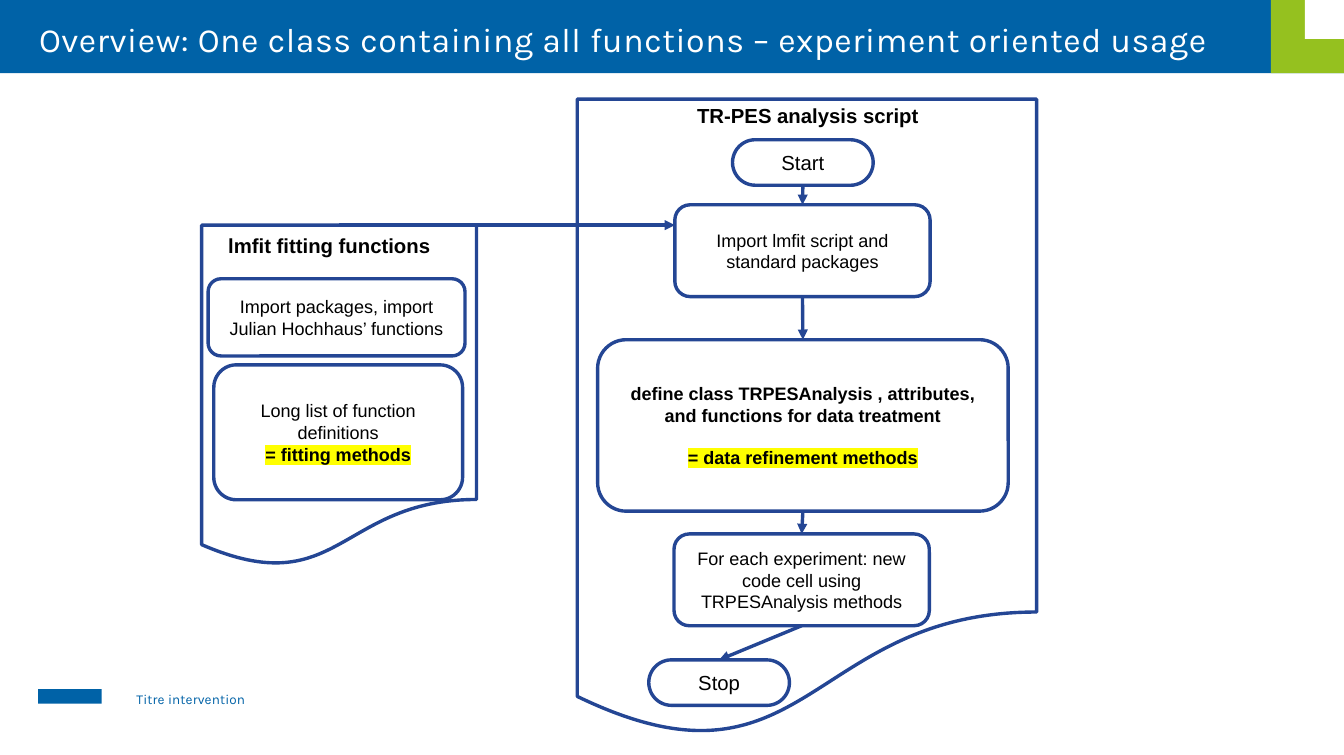
from lxml import etree
from pptx import Presentation
from pptx.dml.color import RGBColor
from pptx.enum.shapes import MSO_CONNECTOR, MSO_SHAPE
from pptx.enum.text import MSO_ANCHOR, MSO_AUTO_SIZE, PP_ALIGN
from pptx.oxml.ns import qn
from pptx.util import Inches, Pt

RECTANGLE = MSO_SHAPE.RECTANGLE
PROCESS = MSO_SHAPE.FLOWCHART_ALTERNATE_PROCESS
TERMINATOR = MSO_SHAPE.FLOWCHART_TERMINATOR
DOCUMENT = MSO_SHAPE.FLOWCHART_DOCUMENT
STRAIGHT = MSO_CONNECTOR.STRAIGHT
LEFT, CENTER = PP_ALIGN.LEFT, PP_ALIGN.CENTER
TOP, MIDDLE = MSO_ANCHOR.TOP, MSO_ANCHOR.MIDDLE

BLUE = RGBColor(0x00, 0x62, 0xA7)
GREEN = RGBColor(0x95, 0xC1, 0x1F)
NAVY = RGBColor(0x24, 0x46, 0x94)
WHITE = RGBColor(0xFF, 0xFF, 0xFF)
BLACK = RGBColor(0x00, 0x00, 0x00)

PLAIN = {"name": "Arial", "size": Pt(16), "bold": False}
BOLD = {**PLAIN, "bold": True}
MARKED = {**BOLD, "highlight": "FFFF00"}
STEP = {**PLAIN, "size": Pt(18)}
HEADING = {**STEP, "bold": True}
TITLE = {"name": "Karla", "size": Pt(30), "bold": False, "color": WHITE, "spacing": 50}
FOOTER = {**TITLE, "size": Pt(12), "color": BLUE, "spacing": 10}


def write(shape, lines, alignment=CENTER, anchor=MIDDLE):
    """Fill a shape with (text, format, points before) paragraphs."""
    frame = shape.text_frame
    frame.word_wrap = True
    frame.auto_size = MSO_AUTO_SIZE.NONE
    frame.vertical_anchor = anchor
    for index, (text, text_format, space_before) in enumerate(lines):
        paragraph = frame.add_paragraph() if index else frame.paragraphs[0]
        paragraph.alignment = alignment
        paragraph.space_before = Pt(space_before)
        run = paragraph.add_run()
        run.text = text
        for attribute in ("name", "size", "bold"):
            setattr(run.font, attribute, text_format[attribute])
        run.font.color.rgb = text_format.get("color", BLACK)
        properties = run.font._element
        if "spacing" in text_format:
            properties.set("spc", str(text_format["spacing"]))
        if "highlight" in text_format:
            highlight = etree.Element(qn("a:highlight"))
            color = etree.SubElement(highlight, qn("a:srgbClr"))
            color.set("val", text_format["highlight"])
            properties.find(qn("a:solidFill")).addnext(highlight)


def add_shape(kind, box, fill=None):
    """Add a filled shape without outline, or an outlined one without fill."""
    shape = slide.shapes.add_shape(kind, *map(Inches, box))
    shape.shadow.inherit = False
    if fill is None:
        shape.fill.background()
        shape.line.color.rgb = NAVY
        shape.line.width = Pt(3)
    else:
        shape.fill.solid()
        shape.fill.fore_color.rgb = fill
        shape.line.fill.background()
    return shape


presentation = Presentation()
presentation.slide_width = Inches(16.53)
presentation.slide_height = Inches(9.29)
slide = presentation.slides.add_slide(presentation.slide_layouts[5])

# Header band, corner and footer
for box, color in [
    ((0.47, 8.48, 0.78, 0.18), BLUE),
    ((0, 0, 16.53, 0.9), BLUE),
    ((15.63, 0, 0.9, 0.9), GREEN),
    ((16.05, 0, 0.48, 0.48), WHITE),
]:
    band = add_shape(RECTANGLE, box, color)

title = slide.shapes.title
band.element.addnext(title.element)
title.left, title.top, title.width, title.height = map(Inches, (0.38, 0.18, 15.12, 0.57))
write(title, [("Overview: One class containing all functions – experiment oriented usage",
               TITLE, 0)], LEFT, TOP)

# Documents and flowchart steps
script_document = add_shape(DOCUMENT, (7.1, 1.22, 5.65, 7.87))
fitting_document = add_shape(DOCUMENT, (2.48, 2.77, 3.38, 4.21))

steps = {}
for name, kind, box, lines in [
    ("start", TERMINATOR, (9.01, 1.72, 1.73, 0.56), [("Start", STEP, 0)]),
    ("import", PROCESS, (8.3, 2.52, 3.14, 1.13),
     [("Import lmfit script and standard packages", PLAIN, 0)]),
    ("class", PROCESS, (7.35, 4.18, 5.05, 2.11),
     [("define class TRPESAnalysis , attributes,", BOLD, 0),
      ("and functions for data treatment", BOLD, 0),
      ("= data refinement methods", MARKED, 18)]),
    ("experiment", PROCESS, (8.29, 6.57, 3.14, 1.13),
     [("For each experiment: new code cell using TRPESAnalysis methods", PLAIN, 0)]),
    ("stop", TERMINATOR, (7.98, 8.12, 1.73, 0.56), [("Stop", STEP, 0)]),
    ("packages", PROCESS, (2.56, 3.43, 3.16, 0.95),
     [("Import packages, import Julian Hochhaus’ functions", PLAIN, 0)]),
    ("definitions", PROCESS, (2.63, 4.49, 3.06, 1.66),
     [("Long list of function definitions", PLAIN, 0),
      ("= fitting methods", MARKED, 0)]),
]:
    steps[name] = add_shape(kind, box)
    write(steps[name], lines)

# Arrows between the steps, and from the fitting functions to their import
arrows = []
flow = ["start", "import", "class", "experiment", "stop"]
for source, target in zip(flow, flow[1:]):
    arrow = slide.shapes.add_connector(STRAIGHT, 0, 0, 0, 0)
    arrow.begin_connect(steps[source], 2)
    arrow.end_connect(steps[target], 0)
    arrows.append(arrow)

import_arrow = slide.shapes.add_connector(
    STRAIGHT, Inches(4.17), Inches(2.77), Inches(8.3), Inches(2.77))
import_arrow.begin_connect(fitting_document, 0)
arrows.append(import_arrow)

for arrow in arrows:
    arrow.line.color.rgb = NAVY
    arrow.line.width = Pt(3)
    outline = arrow.element.spPr.find(qn("a:ln"))
    etree.SubElement(outline, qn("a:tailEnd")).set("type", "triangle")
    etree.SubElement(arrow.element.spPr, qn("a:effectLst"))

# Headings and footer text
for box, text, text_format, alignment in [
    ((2.56, 2.82, 2.98, 0.5), "lmfit fitting functions", HEADING, CENTER),
    ((7.14, 1.22, 5.59, 0.5), "TR-PES analysis script", HEADING, CENTER),
    ((1.58, 8.45, 4, 0.48), "Titre intervention", FOOTER, LEFT),
]:
    label = slide.shapes.add_textbox(*map(Inches, box))
    write(label, [(text, text_format, 0)], alignment, TOP)

presentation.save("out.pptx")
